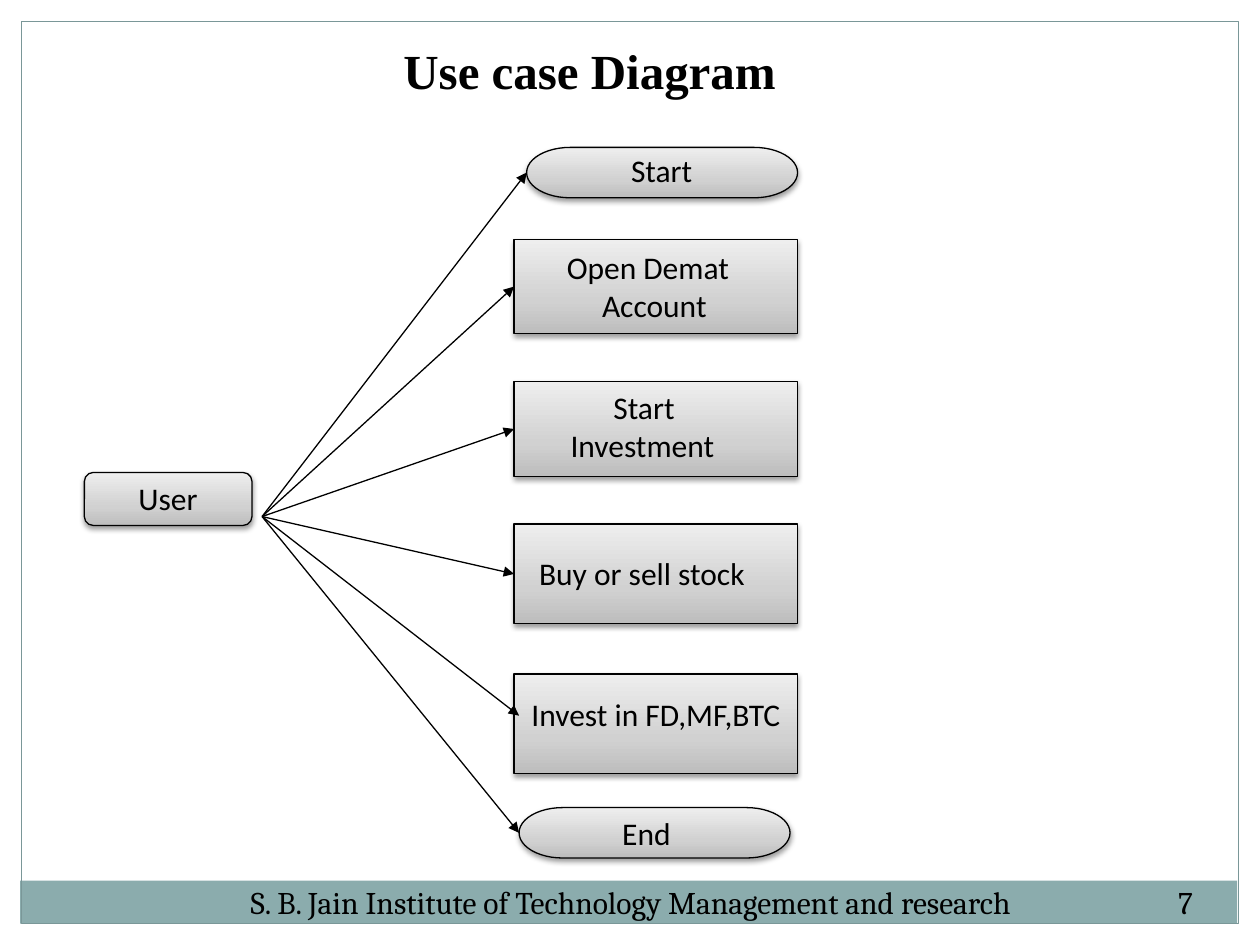
from dataclasses import dataclass

import pptx
import pptx.dml.color
import pptx.enum.shapes
import pptx.enum.text
import pptx.oxml
import pptx.oxml.ns
import pptx.util
from lxml import etree

Inches = pptx.util.Inches
Pt = pptx.util.Pt
RGB = pptx.dml.color.RGBColor.from_string
qn = pptx.oxml.ns.qn
SHAPE = pptx.enum.shapes.MSO_SHAPE
ANCHOR = pptx.enum.text.MSO_ANCHOR
ALIGN = pptx.enum.text.PP_ALIGN
LEFT_SIDE = 1


@dataclass(frozen=True)
class Theme:
    ink: str = "000000"
    band: str = "8BACAD"
    frame: str = "7A9798"
    node_stops: tuple = ((0, "BDBDBD"), (35, "D1D1D1"), (100, "EEEEEE"))
    line_width: float = 0.75
    title_font: str = "Times New Roman"
    title_size: int = 28
    footer_font: str = "Cambria"
    label_font: str = "Calibri"
    body_size: int = 18


THEME = Theme()

# shape, (left, top, width, height), label (left, top, width, height), (line, indent)
USER = (SHAPE.ROUNDED_RECTANGLE, (0.67, 3.75, 1.33, 0.42),
        (1, 3.75, 1.08, 0.71), [("User", 0)])
USE_CASES = [
    (SHAPE.FLOWCHART_TERMINATOR, (4.18, 1.17, 2.15, 0.4),
     (4.91, 1.15, 1.42, 0.71), [("Start", 0)]),
    (SHAPE.RECTANGLE, (4.08, 1.9, 2.25, 0.75),
     (4.18, 1.92, 2.5, 0.71), [("Open Demat", 0.22), ("Account", 0.5)]),
    (SHAPE.RECTANGLE, (4.08, 3.03, 2.25, 0.75),
     (4.21, 3.03, 2.33, 0.71), [("Start", 0.56), ("Investment", 0.22)]),
    (SHAPE.RECTANGLE, (4.08, 4.16, 2.25, 0.79),
     (4.18, 4.35, 2.25, 0.4), [("Buy or sell stock", 0)]),
    (SHAPE.RECTANGLE, (4.08, 5.35, 2.25, 0.79),
     (4.12, 5.47, 2.5, 0.4), [("Invest in FD,MF,BTC", 0)]),
    (SHAPE.FLOWCHART_TERMINATOR, (4.12, 6.41, 2.15, 0.4),
     (4.33, 6.41, 1.5, 0.4), [("End", 0.51)]),
]
ARROW_START = (2.08, 4.1)
FREE_ARROW_ENDS = {4: (4.12, 5.68)}  # arrows that miss the middle of the side


def apply(target, **values):
    for name, value in values.items():
        setattr(target, name, value)


def set_line(line, color):
    line.color.rgb = RGB(color)
    line.width = Pt(THEME.line_width)


def add_panel(slide, box, fill=None, line=None):
    sp = slide.shapes.add_shape(SHAPE.RECTANGLE, *map(Inches, box))
    sp.shadow.inherit = False
    if fill:
        sp.fill.solid()
        sp.fill.fore_color.rgb = RGB(fill)
    else:
        sp.fill.background()
    if line:
        set_line(sp.line, line)
    else:
        sp.line.fill.background()


def add_text(slide, box, lines, font, size, bold=False, align=None, **frame):
    """Add a text box; each line is a (text, left indent in inches) pair."""
    tf = slide.shapes.add_textbox(*map(Inches, box)).text_frame
    apply(tf, word_wrap=True, **frame)
    for i, (text, indent) in enumerate(lines):
        p = tf.add_paragraph() if i else tf.paragraphs[0]
        if align is not None:
            p.alignment = align
        if indent:
            p._p.get_or_add_pPr().set("marL", str(Inches(indent)))
        r = p.add_run()
        r.text = text
        apply(r.font, name=font, size=Pt(size), bold=bold)
        r.font.color.rgb = RGB(THEME.ink)
    return tf


def add_color(parent, color):
    return etree.SubElement(parent, qn("a:srgbClr"), val=color)


def set_gradient(sp):
    sp.fill.gradient()
    sp.fill.gradient_angle = 90
    stops = sp._element.spPr.find(f".//{qn('a:gsLst')}")
    for stop in list(stops):
        stops.remove(stop)
    for pos, color in THEME.node_stops:
        add_color(etree.SubElement(stops, qn("a:gs"), pos=str(pos * 1000)), color)


def set_shadow(sp):
    sp.shadow.inherit = False
    effects = sp._element.spPr.find(qn("a:effectLst"))
    shadow = etree.SubElement(
        effects, qn("a:outerShdw"), blurRad=str(Pt(3.1)), dist=str(Pt(1.6)),
        dir="5400000", rotWithShape="0")
    etree.SubElement(add_color(shadow, THEME.ink), qn("a:alpha"), val="38000")


def add_node(slide, shape, box, label_box, lines):
    sp = slide.shapes.add_shape(shape, *map(Inches, box))
    set_gradient(sp)
    set_line(sp.line, THEME.ink)
    set_shadow(sp)
    add_text(slide, label_box, lines, THEME.label_font, THEME.body_size)
    return sp


def add_arrow(slide, node, end=None):
    """Point from the user to end, or to the middle of the node's left side."""
    cn = slide.shapes.add_connector(
        pptx.enum.shapes.MSO_CONNECTOR.STRAIGHT,
        *map(Inches, ARROW_START + (end or ARROW_START)))
    if end is None:
        cn.end_connect(node, LEFT_SIDE)
    set_line(cn.line, THEME.ink)
    etree.SubElement(cn.line._get_or_add_ln(), qn("a:tailEnd"), type="triangle")
    etree.SubElement(cn._element.spPr, qn("a:effectLst"))


def add_footer(slide):
    tf = add_text(
        slide, (0.25, 6.99, 9.67, 0.34),
        [("S. B. Jain Institute of Technology Management and research\t7", 0)],
        THEME.footer_font, THEME.body_size,
        vertical_anchor=ANCHOR.MIDDLE, margin_left=Inches(1.74))
    tabs = etree.SubElement(tf.paragraphs[0]._p.get_or_add_pPr(), qn("a:tabLst"))
    etree.SubElement(tabs, qn("a:tab"), pos=str(Inches(7.36)), algn="l")


def main():
    prs = pptx.Presentation()
    apply(prs, slide_width=Inches(10), slide_height=Inches(7.5))
    slide = prs.slides.add_slide(prs.slide_layouts[6])

    add_panel(slide, (0.16, 6.99, 9.66, 0.34), fill=THEME.band)
    add_panel(slide, (0.17, 0.17, 9.66, 7.16), line=THEME.frame)
    add_text(slide, (0.7, 0.2, 9, 0.59), [("Use case Diagram", 0)],
             THEME.title_font, THEME.title_size, bold=True, align=ALIGN.CENTER,
             vertical_anchor=ANCHOR.BOTTOM, margin_bottom=0,
             margin_right=Inches(1.14))
    add_footer(slide)

    add_node(slide, *USER)
    for i, use_case in enumerate(USE_CASES):
        node = add_node(slide, *use_case)
        add_arrow(slide, node, FREE_ARROW_ENDS.get(i))

    prs.save("out.pptx")


if __name__ == "__main__":
    main()
